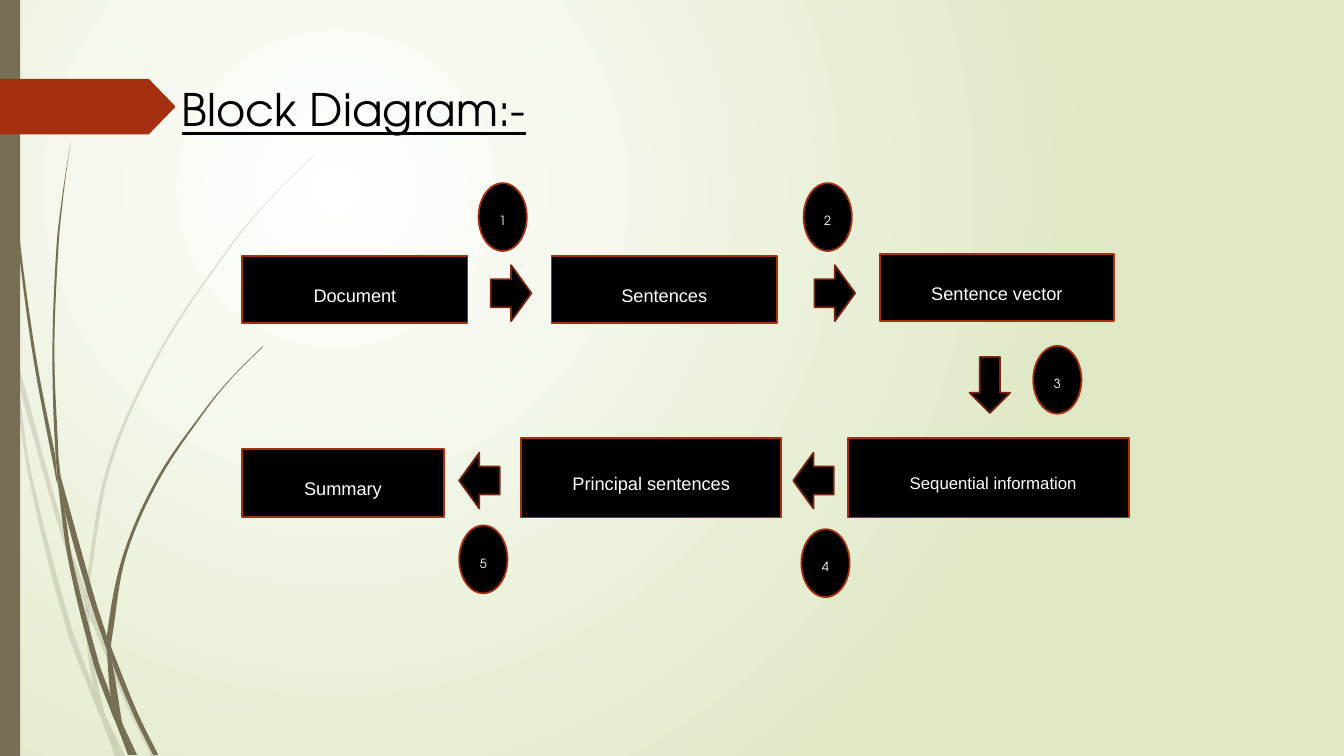
from dataclasses import dataclass
from math import dist

from lxml import etree
from pptx import Presentation
from pptx.dml.color import RGBColor
from pptx.enum.shapes import MSO_SHAPE
from pptx.enum.text import MSO_ANCHOR, PP_ALIGN
from pptx.oxml.ns import qn
from pptx.util import Pt

RECT, PROCESS, OVAL = MSO_SHAPE.RECTANGLE, MSO_SHAPE.FLOWCHART_PROCESS, MSO_SHAPE.OVAL
RIGHT, DOWN, LEFT = MSO_SHAPE.RIGHT_ARROW, MSO_SHAPE.DOWN_ARROW, MSO_SHAPE.LEFT_ARROW
MIDDLE, TOP = MSO_ANCHOR.MIDDLE, MSO_ANCHOR.TOP
CENTER, START = PP_ALIGN.CENTER, PP_ALIGN.LEFT


@dataclass(frozen=True)
class Theme:
    """Colours, fonts and type sizes of the deck."""
    black: str = "000000"
    white: str = "FFFFFF"
    olive: str = "766F54"
    rust: str = "A53010"
    dark_rust: str = "7A240C"
    pale_green: str = "DFE8C4"
    display: str = "TeX Gyre Adventor"
    body: str = "Arial"
    title_size: float = 32
    block_size: float = 13
    small_block_size: float = 12
    badge_size: float = 9
    line: float = 1.25


T = Theme()

GRASS_UNIT = 0.72
PALE_BLADES = [
    ([(11, 350), (9, 322), (0, 282)], [(0, 299), (10, 344), (11, 350)]),
    ([(14, 345), (62, 520), (85, 586)], [(84, 599), (58, 522), (17, 376)]),
    ([(88, 596), (92, 607), (127, 692), (155, 750)], [(150, 750), (123, 694), (88, 610)]),
    ([(105, 711), (124, 750)], [(119, 750), (105, 711)]),
    ([(11, 350), (17, 376), (31, 469), (70, 619), (93, 683), (99, 707), (101, 714)],
     [(92, 693), (65, 621), (28, 470), (11, 350)]),
    ([(84, 599), (88, 608), (91, 646), (103, 706), (105, 711)],
     [(96, 692), (93, 683), (87, 646), (84, 599)]),
    ([(312, 153), (268, 197), (228, 244), (158, 348), (107, 461), (85, 584), (88, 596)],
     [(88, 584), (110, 462), (160, 349), (229, 245), (268, 198), (312, 154)]),
    ([(101, 714), (119, 750)], [(114, 750), (101, 714)]),
    ([(85, 586), (88, 596), (88, 610)], [(84, 599), (85, 586)]),
    ([(93, 683), (96, 692), (105, 711), (119, 750)], [(101, 714), (99, 707), (93, 683)]),
]
DARK_BLADES = [
    ([(3, 0), (4, 48), (7, 110), (17, 233), (33, 355), (56, 477), (57, 481)],
     [(55, 453), (36, 355), (19, 232), (8, 109), (5, 48), (4, 0)]),
    ([(60, 472), (93, 590), (106, 631)], [(106, 645), (88, 592), (64, 505), (60, 472)]),
    ([(110, 641), (113, 649), (136, 706), (157, 749)],
     [(152, 749), (132, 708), (111, 656), (110, 641)]),
    ([(57, 477), (64, 505), (72, 556), (98, 657), (110, 691), (116, 717), (117, 722)],
     [(111, 708), (93, 659), (68, 557), (57, 477)]),
    ([(70, 141), (62, 193), (56, 245), (52, 349), (55, 449), (60, 472)],
     [(58, 453), (54, 349), (58, 245), (63, 193), (70, 141)]),
    ([(122, 719), (136, 749)], [(133, 749), (122, 719)]),
    ([(55, 449), (60, 472), (64, 505)], [(57, 477), (55, 449)]),
    ([(260, 344), (231, 373), (204, 405), (156, 474), (122, 551), (106, 631), (110, 641)],
     [(111, 633), (125, 552), (158, 476), (205, 406), (231, 374), (261, 344)]),
    ([(117, 722), (131, 749)], [(127, 749), (117, 722)]),
    ([(106, 645), (111, 656), (121, 716), (122, 719)], [(116, 706), (110, 691), (106, 645)]),
    ([(106, 631), (110, 641), (111, 656)], [(106, 645), (106, 631)]),
    ([(110, 691), (116, 706), (122, 719), (133, 749)], [(130, 749), (117, 722), (110, 691)]),
]
BLOCKS = [
    ("Document", 0, 51.8, 161, 48),
    ("Sentences", 221, 51.8, 161, 48),
    ("Sentence vector", 455.5, 50.5, 167, 48),
    ("Sequential information", 432.5, 182, 201, 56.6),
    ("Principal sentences", 199.2, 182, 185.8, 56.6),
    ("Summary", 0, 190, 144, 48.3),
]
STEPS = [
    (RIGHT, (177.6, 58.4), (168.8, -0.2)),
    (RIGHT, (408.8, 58.4), (401, -0.2)),
    (DOWN, (519.6, 124), (565, 116)),
    (LEFT, (393.6, 192.3), (399.4, 247)),
    (LEFT, (154.9, 192.3), (155, 244.3)),
]


def rgb(code):
    """Return a colour from its hex code."""
    return RGBColor.from_string(code)


def paint(sp, fill, line=None, alpha=None):
    """Set the fill, outline and opacity of a shape and drop its shadow."""
    sp.shadow.inherit = False
    sp.fill.solid()
    sp.fill.fore_color.rgb = rgb(fill)
    if alpha:
        clr = sp.element.xpath("./p:spPr/a:solidFill/a:srgbClr")[0]
        etree.SubElement(clr, qn("a:alpha")).set("val", str(alpha * 1000))
    if line:
        sp.line.color.rgb = rgb(line)
        sp.line.width = Pt(T.line)
    else:
        sp.line.fill.background()
    return sp


def add_preset(s, kind, x, y, w, h, fill, line=None):
    """Add a painted preset shape."""
    return paint(s.shapes.add_shape(kind, Pt(x), Pt(y), Pt(w), Pt(h)), fill, line)


def add_outline(s, points, fill, alpha=None, curved=False):
    """Add a closed outline; if curved, every three points make a Bezier segment."""
    pts = [(Pt(x), Pt(y)) for x, y in points]
    builder = s.shapes.build_freeform(*pts[0])
    builder.add_line_segments(pts[1:], close=True)
    sp = builder.convert_to_shape()
    lines = sp.element.xpath(".//a:lnTo") if curved else []
    for i in range(0, len(lines), 3):
        curve = etree.Element(qn("a:cubicBezTo"))
        lines[i].addprevious(curve)
        for line in lines[i:i + 3]:
            curve.append(line[0])
            line.getparent().remove(line)
    return paint(sp, fill, alpha=alpha)


def write(sp, text, *, font, size, color, align=CENTER, anchor=MIDDLE, spacing=1.5,
          after=6, underline=False):
    """Put one formatted paragraph into a shape."""
    tf = sp.text_frame
    tf.word_wrap, tf.vertical_anchor = True, anchor
    p = tf.paragraphs[0]
    p.alignment, p.line_spacing, p.space_after = align, spacing, Pt(after)
    r = p.add_run()
    r.text = text
    r.font.name, r.font.size, r.font.underline = font, Pt(size), underline
    r.font.color.rgb = rgb(color)


def handle(knot, before, after, length):
    """Return the Bezier handle at a knot, along the chord of its neighbours."""
    reach = length / 3 / (dist(before, after) or 1)
    return tuple(k + (b - a) * reach for k, a, b in zip(knot, before, after))


def smooth(knots):
    """Return the Bezier points of a smooth curve, without its first knot."""
    ends, out = [knots[0], *knots, knots[-1]], []
    for a, b, c, d in zip(ends, ends[1:], ends[2:], ends[3:]):
        out += [handle(b, a, c, dist(b, c)), handle(c, d, b, dist(b, c)), c]
    return out


def add_background(s):
    """Fill the slide with a round gradient centred in its upper left quarter."""
    fill = s.background.fill
    fill.gradient()
    for stop, color in zip(fill.gradient_stops, (T.white, T.pale_green)):
        stop.color.rgb = rgb(color)
    grad = s.element.xpath("./p:cSld/p:bg//a:gradFill")[0]
    for lin in grad.xpath("./a:lin"):
        grad.remove(lin)
    shade = etree.SubElement(grad, qn("a:path"))
    shade.set("path", "circle")
    focus = etree.SubElement(shade, qn("a:fillToRect"))
    for side, value in (("l", 50000), ("t", 50000), ("r", 100000), ("b", 100000)):
        focus.set(side, str(value))


def add_grass(s, x, y, h):
    """Draw the grass blades and the side bar from the given corner."""
    for blades, alpha in ((PALE_BLADES, 20), (DARK_BLADES, None)):
        for there, back in blades:
            join = [there[-1], back[0], back[0]]
            outline = [there[0], *smooth(there), *join, *smooth(back)]
            add_outline(s, [(x + px * GRASS_UNIT, y + py * GRASS_UNIT) for px, py in outline],
                        T.olive, alpha, curved=True)
    add_preset(s, RECT, x, y, 14.4, h, T.olive)


def add_heading(s, x, y, w, h):
    """Draw the pointed banner and the title beside it."""
    tip, neck = 125, 106.2
    add_outline(s, [(x, y), (x + neck, y), (x + tip, y + h / 2 - 0.5),
                    (x + tip, y + h / 2 + 0.5), (x + neck, y + h), (x, y + h)], T.rust)
    box = s.shapes.add_textbox(Pt(x + 122.8), Pt(y - 1.5), Pt(w - 122.8), Pt(46))
    write(box, "Block Diagram:-", font=T.display, size=T.title_size, color=T.black,
          align=START, anchor=TOP, spacing=1, after=0, underline=True)


def add_diagram(s, x, y):
    """Draw the blocks with the numbered arrows that join them."""
    for text, bx, by, w, h in BLOCKS:
        sp = add_preset(s, PROCESS, x + bx, y + by, w, h, T.black, T.rust)
        small = text.startswith("Sequential")
        if small:
            sp.text_frame.margin_left = Pt(14)
        write(sp, text, font=T.body, color=T.white,
              size=T.small_block_size if small else T.block_size)
    for number, (kind, (ax, ay), (nx, ny)) in enumerate(STEPS, 1):
        add_preset(s, kind, x + ax, y + ay, 29, 40, T.black, T.dark_rust)
        badge = add_preset(s, OVAL, x + nx, y + ny, 34.5, 48.5, T.black, T.rust)
        write(badge, str(number), font=T.display, size=T.badge_size, color=T.white)


prs = Presentation()
prs.slide_width, prs.slide_height = Pt(960), Pt(540)
s = prs.slides.add_slide(prs.slide_layouts[6])
add_background(s)
add_grass(s, 0, 0, 540)
add_heading(s, 0, 56.3, 544.5, 39.8)
add_diagram(s, 173, 131)
prs.save("out.pptx")
